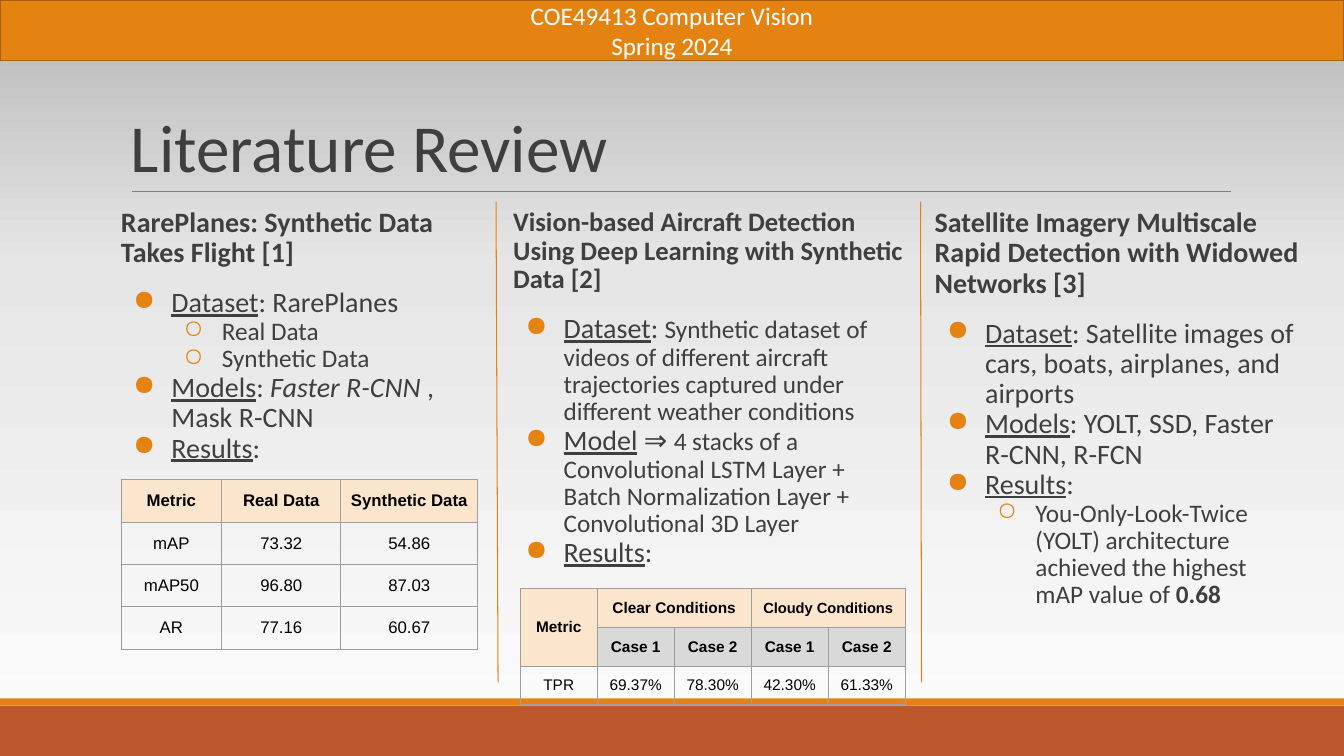
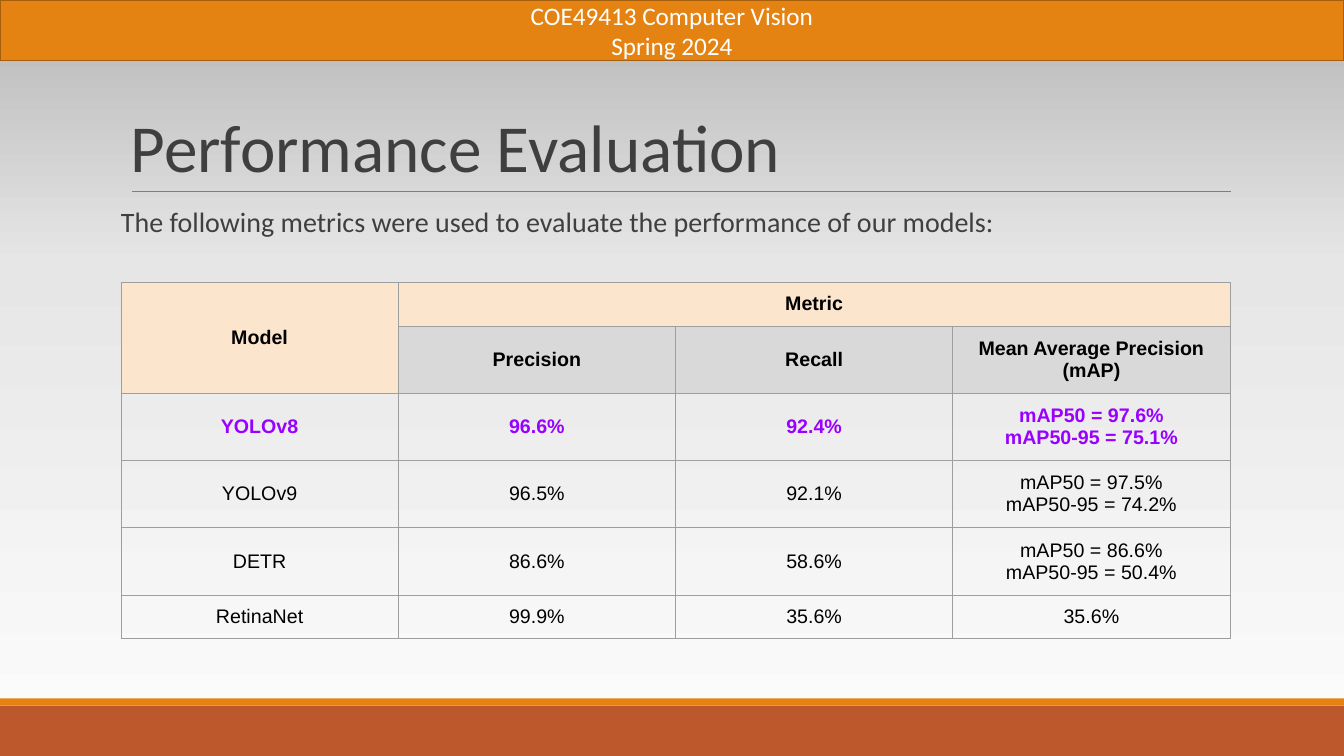
from copy import deepcopy

from lxml import etree
from pptx import Presentation
from pptx.dml.color import RGBColor
from pptx.enum.shapes import MSO_CONNECTOR, MSO_SHAPE
from pptx.enum.text import MSO_ANCHOR, PP_ALIGN
from pptx.oxml.ns import qn
from pptx.util import Inches, Pt

STRAIGHT = MSO_CONNECTOR.STRAIGHT
RECTANGLE = MSO_SHAPE.RECTANGLE
TOP, MIDDLE, BOTTOM = MSO_ANCHOR.TOP, MSO_ANCHOR.MIDDLE, MSO_ANCHOR.BOTTOM
LEFT, CENTER = PP_ALIGN.LEFT, PP_ALIGN.CENTER

ORANGE = RGBColor(0xE4, 0x83, 0x12)
DARK_ORANGE = RGBColor(0xA6, 0x5F, 0x0D)
RUST = RGBColor(0xBD, 0x58, 0x2C)
PEACH = RGBColor(0xFC, 0xE5, 0xCD)
SILVER = RGBColor(0xD9, 0xD9, 0xD9)
BORDER_GRAY = RGBColor(0x9E, 0x9E, 0x9E)
RULE_GRAY = RGBColor(0x7F, 0x7F, 0x7F)
TEXT_GRAY = RGBColor(0x3F, 0x3F, 0x3F)
PURPLE = RGBColor(0x99, 0x00, 0xFF)
BLACK = RGBColor(0, 0, 0)
WHITE = RGBColor(0xFF, 0xFF, 0xFF)
BACKGROUND_STOPS = [
    (0, RGBColor(0xFD, 0xFD, 0xFD)),
    (0.65, RGBColor(0xE6, 0xE6, 0xE6)),
    (1, RGBColor(0xB6, 0xB6, 0xB6)),
]

PAGE_WIDTH, PAGE_HEIGHT = 13.33, 7.5
BODY_LEFT, BODY_TOP, BODY_WIDTH, BODY_HEIGHT = 1.2, 2.02, 11, 4.4

COURSE = ["COE49413 Computer Vision", "Spring 2024"]

# Each span is (text, format); each list entry is (level, spans).
PLAIN, SMALL = {}, {"size": 18}
LABEL, ITALIC, STRONG = {"underline": True}, {"italic": True}, {"size": 18, "bold": True}
BULLETS = {1: ("●", 0.5), 2: ("○", 1)}

PAPERS = [
    {
        "left": BODY_LEFT, "width": 3.55, "heading_size": 20,
        "heading": "RarePlanes: Synthetic Data Takes Flight [1]",
        "entries": [
            (1, [("Dataset", LABEL), (": RarePlanes", PLAIN)]),
            (2, [("Real Data", SMALL)]),
            (2, [("Synthetic Data", SMALL)]),
            (1, [("Models", LABEL), (": ", PLAIN), ("Faster R-CNN", ITALIC),
                 (" , Mask R-CNN", PLAIN)]),
            (1, [("Results", LABEL), (":", PLAIN)]),
        ],
    },
    {
        "left": 5.09, "width": 3.89, "heading_size": 19,
        "heading": "Vision-based Aircraft Detection Using Deep Learning "
                   "with Synthetic Data [2]",
        "entries": [
            (1, [("Dataset", LABEL), (": ", PLAIN),
                 ("Synthetic dataset of videos of different aircraft trajectories "
                  "captured under different weather conditions", SMALL)]),
            (1, [("Model", LABEL), (" ⇒ ", PLAIN),
                 ("4 stacks of a Convolutional LSTM Layer + Batch Normalization "
                  "Layer + Convolutional 3D Layer", SMALL)]),
            (1, [("Results", LABEL), (":", PLAIN)]),
        ],
    },
    {
        "left": 9.27, "width": 3.62, "heading_size": 20,
        "heading": "Satellite Imagery Multiscale Rapid Detection with Widowed Networks [3]",
        "entries": [
            (1, [("Dataset", LABEL),
                 (": Satellite images of cars, boats, airplanes, and airports", PLAIN)]),
            (1, [("Models", LABEL), (": YOLT, SSD, Faster R-CNN, R-FCN", PLAIN)]),
            (1, [("Results", LABEL), (":", PLAIN)]),
            (2, [("You-Only-Look-Twice (YOLT) architecture achieved the highest "
                  "mAP value of ", SMALL), ("0.68", STRONG)]),
        ],
    },
]
DIVIDERS = [((4.92, 2), (4.94, 6.77)), ((9.13, 2), (9.14, 6.77))]

# Row styles: fill, text colour, bold.
HEADER = (PEACH, BLACK, True)
SUBHEADER = (SILVER, BLACK, True)
BEST = (None, PURPLE, True)
DATA = (None, BLACK, False)

RARE_PLANES_TABLE = {
    "left": BODY_LEFT, "top": 4.76, "size": 12,
    "columns": [1, 1.18, 1.36], "heights": [0.42] * 4,
    "rows": [
        (HEADER, ["Metric", "Real Data", "Synthetic Data"]),
        (DATA, ["mAP", "73.32", "54.86"]),
        (DATA, ["mAP50", "96.80", "87.03"]),
        (DATA, ["AR", "77.16", "60.67"]),
    ],
}
AIRCRAFT_TABLE = {
    "left": 5.16, "top": 5.84, "size": 11,
    "columns": [3.82 / 5] * 5, "heights": [0.37] * 3,
    "merges": [((0, 0), (1, 0)), ((0, 1), (0, 2)), ((0, 3), (0, 4))],
    "sizes": {"Cloudy Conditions": 10.5},
    "rows": [
        (HEADER, ["Metric", "Clear Conditions", "", "Cloudy Conditions", ""]),
        (SUBHEADER, ["", "Case 1", "Case 2", "Case 1", "Case 2"]),
        (DATA, ["TPR", "69.37%", "78.30%", "42.30%", "61.33%"]),
    ],
}
MODEL_TABLE = {
    "left": BODY_LEFT, "top": 2.8, "size": 14,
    "columns": [BODY_WIDTH / 4] * 4, "heights": [0.42, 0.64, 0.64, 0.64, 0.64, 0.42],
    "merges": [((0, 0), (1, 0)), ((0, 1), (0, 3))],
    "rows": [
        (HEADER, ["Model", "Metric", "", ""]),
        (SUBHEADER, ["", "Precision", "Recall", "Mean Average Precision (mAP)"]),
        (BEST, ["YOLOv8", "96.6%", "92.4%", "mAP50 = 97.6%\nmAP50-95 = 75.1%"]),
        (DATA, ["YOLOv9", "96.5%", "92.1%", "mAP50 = 97.5%\nmAP50-95 = 74.2%"]),
        (DATA, ["DETR", "86.6%", "58.6%", "mAP50 = 86.6%\nmAP50-95 = 50.4%"]),
        (DATA, ["RetinaNet", "99.9%", "35.6%", "35.6%"]),
    ],
}


def add_span(para, text, size=20, color=TEXT_GRAY, font="Calibri", **emphasis):
    span = para.add_run()
    span.text = text
    span.font.name, span.font.size = font, Pt(size)
    span.font.color.rgb = color
    for name, value in emphasis.items():
        setattr(span.font, name, value)


def add_lines(frame, lines, align=LEFT, spacing=None, **style):
    """Write each line as a paragraph, the first into the one already there."""
    for index, line in enumerate(lines):
        para = frame.add_paragraph() if index else frame.paragraphs[0]
        para.alignment = align
        para.line_spacing = spacing
        add_span(para, line, **style)


def add_bullet(para, level):
    mark, indent = BULLETS[level]
    properties = para._p.get_or_add_pPr()
    properties.set("lvl", str(level - 1))
    properties.set("marL", str(Inches(indent)))
    properties.set("indent", str(-Inches(0.38)))
    color = etree.SubElement(properties, qn("a:buClr"))
    etree.SubElement(color, qn("a:srgbClr"), val=str(ORANGE))
    etree.SubElement(properties, qn("a:buChar"), char=mark)


def add_text_box(page, left, top, width, height, anchor=TOP, side_margin=0):
    box = page.shapes.add_textbox(Inches(left), Inches(top), Inches(width), Inches(height))
    frame = box.text_frame
    frame.word_wrap = True
    frame.vertical_anchor = anchor
    frame.margin_left = frame.margin_right = Inches(side_margin)
    return frame


def add_band(page, top, height, fill, line=None):
    band = page.shapes.add_shape(
        RECTANGLE, 0, Inches(top), Inches(PAGE_WIDTH), Inches(height))
    band.shadow.inherit = False
    band.fill.solid()
    band.fill.fore_color.rgb = fill
    if line is None:
        band.line.fill.background()
    else:
        band.line.color.rgb = line
        band.line.width = Pt(1.25)
    return band


def add_rule(page, start, end, color):
    rule = page.shapes.add_connector(STRAIGHT, *(Inches(value) for value in start + end))
    rule.line.color.rgb = color
    rule.line.width = Pt(0.75)
    etree.SubElement(rule._element.spPr, qn("a:effectLst"))


def paint_background(page):
    fill = page.background.fill
    fill.gradient()
    fill.gradient_angle = 90
    stop_list = page._element.find(".//" + qn("a:gsLst"))
    stop_list.append(deepcopy(stop_list[0]))
    for stop, (position, color) in zip(fill.gradient_stops, BACKGROUND_STOPS):
        stop.position = position
        stop.color.rgb = color


def add_page(deck, title):
    """Add a page with the shared background, bands, rule and title."""
    page = deck.slides.add_slide(deck.slide_layouts[6])
    paint_background(page)
    add_band(page, 7, 0.5, RUST)
    add_band(page, 6.93, 0.07, ORANGE)
    add_rule(page, (1.31, 1.9), (12.21, 1.9), RULE_GRAY)
    course_band = add_band(page, 0, 0.6, ORANGE, line=DARK_ORANGE)
    course_band.text_frame.vertical_anchor = MIDDLE
    add_lines(course_band.text_frame, COURSE, align=CENTER, size=18, color=WHITE)
    frame = add_text_box(page, BODY_LEFT, 0.31, BODY_WIDTH, 1.59, anchor=BOTTOM, side_margin=0.1)
    add_lines(frame, [title], spacing=0.85, size=48)
    return page


def add_paper(page, paper):
    frame = add_text_box(page, paper["left"], BODY_TOP, paper["width"], BODY_HEIGHT)
    add_lines(frame, [paper["heading"]], spacing=0.9, size=paper["heading_size"], bold=True)
    for index, (level, spans) in enumerate(paper["entries"]):
        para = frame.add_paragraph()
        para.line_spacing = 0.9
        para.space_before = Pt(0 if index else 14)
        add_bullet(para, level)
        for text, style in spans:
            add_span(para, text, **style)


def add_borders(cell):
    properties = cell._tc.get_or_add_tcPr()
    for side in ("a:lnL", "a:lnR", "a:lnT", "a:lnB"):
        line = etree.SubElement(properties, qn(side), w=str(Pt(0.75)))
        fill = etree.SubElement(line, qn("a:solidFill"))
        etree.SubElement(fill, qn("a:srgbClr"), val=str(BORDER_GRAY))


def format_cell(cell, text, row_style, size):
    fill, color, bold = row_style
    cell.margin_left = cell.margin_right = Inches(0.1)
    cell.margin_top = cell.margin_bottom = Inches(0.1)
    cell.vertical_anchor = MIDDLE
    add_borders(cell)
    if fill is None:
        cell.fill.background()
    else:
        cell.fill.solid()
        cell.fill.fore_color.rgb = fill
    if text:
        add_lines(cell.text_frame, text.split("\n"), align=CENTER,
                  size=size, color=color, font="Arial", bold=bold)


def add_data_table(page, content):
    columns, heights = content["columns"], content["heights"]
    table = page.shapes.add_table(
        len(heights), len(columns), Inches(content["left"]), Inches(content["top"]),
        Inches(sum(columns)), Inches(sum(heights))).table
    table.first_row = table.horz_banding = False
    for column, width in zip(table.columns, columns):
        column.width = Inches(width)
    for row, height in zip(table.rows, heights):
        row.height = Inches(height)
    for first, last in content.get("merges", []):
        table.cell(*first).merge(table.cell(*last))
    sizes = content.get("sizes", {})
    for row_index, (row_style, texts) in enumerate(content["rows"]):
        for column_index, text in enumerate(texts):
            format_cell(table.cell(row_index, column_index), text, row_style,
                        sizes.get(text, content["size"]))


def main():
    deck = Presentation()
    deck.slide_width, deck.slide_height = Inches(PAGE_WIDTH), Inches(PAGE_HEIGHT)

    review = add_page(deck, "Literature Review")
    for paper in PAPERS:
        add_paper(review, paper)
    for start, end in DIVIDERS:
        add_rule(review, start, end, ORANGE)
    add_data_table(review, RARE_PLANES_TABLE)
    add_data_table(review, AIRCRAFT_TABLE)

    evaluation = add_page(deck, "Performance Evaluation")
    frame = add_text_box(evaluation, BODY_LEFT, BODY_TOP, BODY_WIDTH, BODY_HEIGHT)
    add_lines(frame, ["The following metrics were used to evaluate the performance "
                      "of our models:"], spacing=0.9)
    add_data_table(evaluation, MODEL_TABLE)

    deck.save("out.pptx")


if __name__ == "__main__":
    main()
